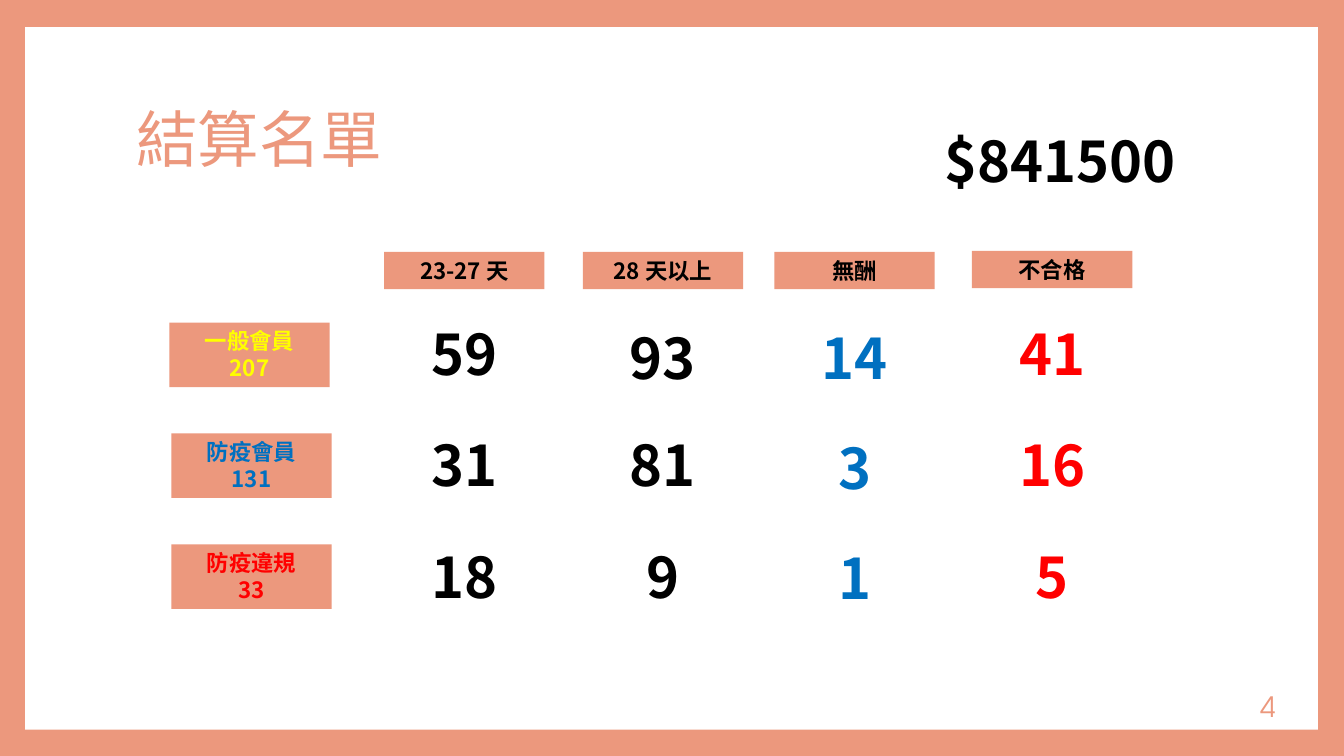
from lxml.etree import SubElement
from pptx import Presentation
from pptx.dml.color import RGBColor
from pptx.enum.shapes import MSO_SHAPE
from pptx.enum.text import MSO_ANCHOR, PP_ALIGN
from pptx.oxml.ns import qn
from pptx.util import Inches, Pt

CORAL, WHITE, BLACK = "EC987D", "FFFFFF", "000000"
YELLOW, BLUE, RED = "FFFF00", "0070C0", "FF0000"
CJK_FONT, LATIN_FONT = "Noto Sans CJK SC", "TeX Gyre Adventor"


def write(shape, lines, size, color, font=CJK_FONT, bold=True,
          align=PP_ALIGN.CENTER, anchor=MSO_ANCHOR.TOP):
    frame = shape.text_frame
    frame.word_wrap = True
    frame.vertical_anchor = anchor
    for index, line in enumerate(lines):
        paragraph = frame.add_paragraph() if index else frame.paragraphs[0]
        paragraph.alignment = align
        run = paragraph.add_run()
        run.text = line
        run.font.name = font
        run.font.size = Pt(size)
        run.font.bold = bold
        run.font.color.rgb = RGBColor.from_string(color)
        east_asian = SubElement(run._r.rPr, qn("a:ea"))
        east_asian.set("typeface", CJK_FONT)


def add_box(left, top, width, height, color):
    shape = slide.shapes.add_shape(MSO_SHAPE.RECTANGLE, Inches(left), Inches(top),
                                   Inches(width), Inches(height))
    shape.shadow.inherit = False
    shape.fill.solid()
    shape.fill.fore_color.rgb = RGBColor.from_string(color)
    shape.line.fill.background()
    return shape


presentation = Presentation()
presentation.slide_width = Inches(13.33)
presentation.slide_height = Inches(7.5)
slide = presentation.slides.add_slide(presentation.slide_layouts[5])

# Coral background with a white panel
slide.background.fill.solid()
slide.background.fill.fore_color.rgb = RGBColor.from_string(CORAL)
panel = add_box(0.25, 0.27, 12.82, 6.97, WHITE)
slide.shapes._spTree.insert(2, panel._element)  # behind the title

# Title
title = slide.shapes.title
title.left, title.top = Inches(1.25), Inches(0.67)
title.width, title.height = Inches(10.8), Inches(1.48)
write(title, ["結算名單"], 44, CORAL, LATIN_FONT, False, PP_ALIGN.LEFT, MSO_ANCHOR.MIDDLE)
title.text_frame.paragraphs[0].line_spacing = 0.9

# Total amount
total = add_box(9.27, 1.21, 2.54, 0.77, WHITE)
write(total, ["$841500"], 40, BLACK, align=PP_ALIGN.LEFT)

# Member groups: left, top, name, count, colour
groups = [
    (1.68, 3.2, "一般會員", "207", YELLOW),
    (1.7, 4.3, "防疫會員", "131", BLUE),
    (1.7, 5.4, "防疫違規", "33", RED),
]
for left, top, name, count, color in groups:
    write(add_box(left, top, 1.59, 0.64, CORAL), [name, count], 16, color)

# Result columns: left, header top, header, colour, (value, top) for each group
columns = [
    (3.81, 2.5, "23-27 天", BLACK, [("59", 3.12), ("31", 4.22), ("18", 5.33)]),
    (5.78, 2.5, "28 天以上", BLACK, [("93", 3.16), ("81", 4.22), ("9", 5.33)]),
    (7.68, 2.5, "無酬", BLUE, [("14", 3.16), ("3", 4.25), ("1", 5.34)]),
    (9.64, 2.49, "不合格", RED, [("41", 3.12), ("16", 4.22), ("5", 5.33)]),
]
for left, header_top, header, color, values in columns:
    write(add_box(left, header_top, 1.59, 0.37, CORAL), [header], 16, BLACK)
    for value, top in values:
        value_box = slide.shapes.add_textbox(Inches(left), Inches(top),
                                             Inches(1.59), Inches(0.77))
        write(value_box, [value], 40, color)

# Page number
page_number = slide.shapes.add_textbox(Inches(10.88), Inches(6.81), Inches(1.87), Inches(0.4))
write(page_number, ["4"], 20, CORAL, LATIN_FONT, False, PP_ALIGN.RIGHT, MSO_ANCHOR.MIDDLE)

presentation.save("out.pptx")
